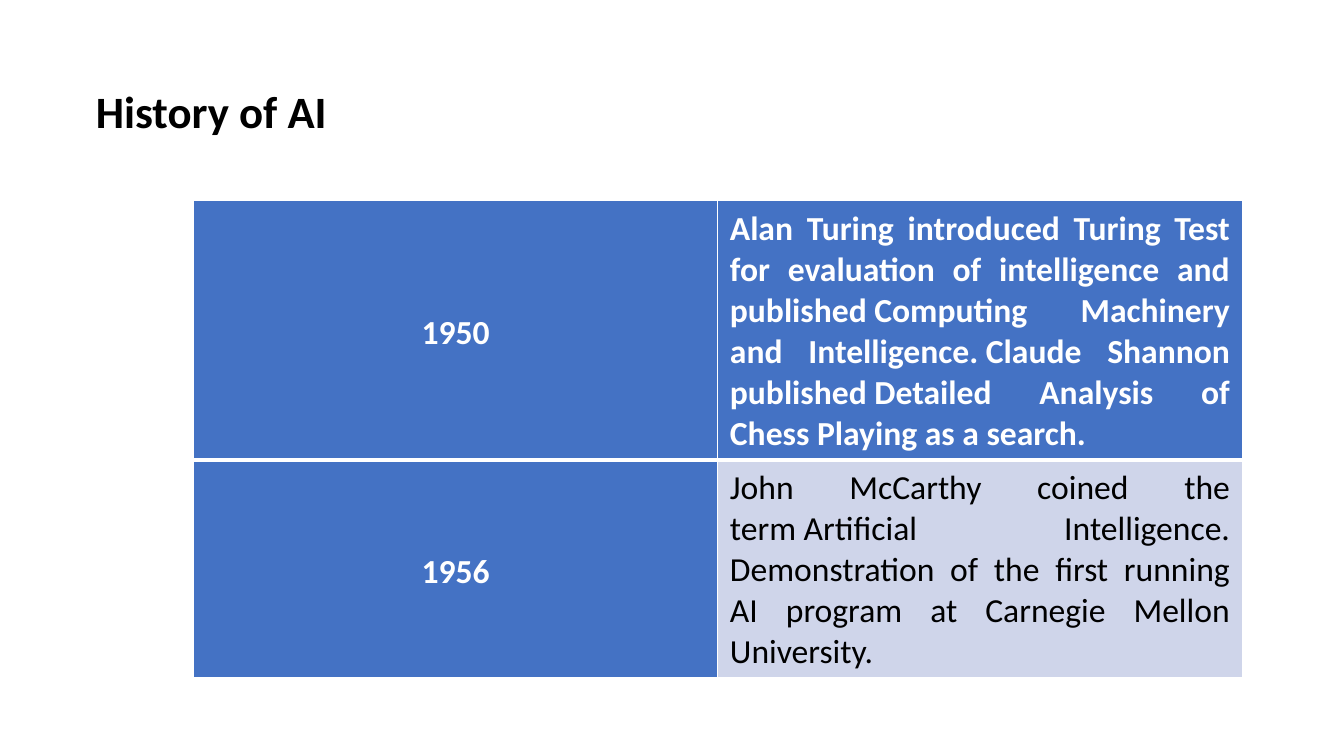
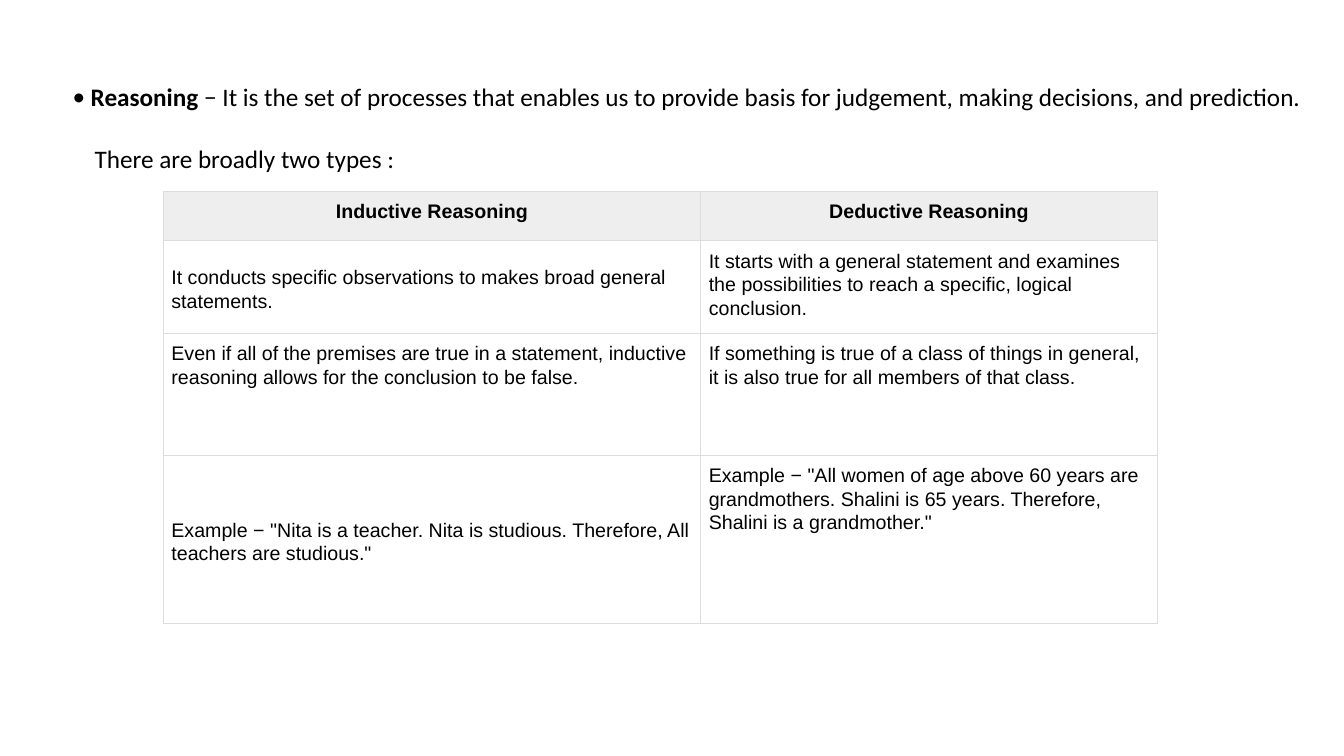
from lxml.etree import SubElement
from pptx import Presentation
from pptx.dml.color import RGBColor
from pptx.enum.text import MSO_ANCHOR as Anchor, MSO_AUTO_SIZE as AutoSize, PP_ALIGN as Align
from pptx.oxml.ns import qn
from pptx.util import Inches, Pt

# Shared look
BLACK = RGBColor(0x00, 0x00, 0x00)
WHITE = RGBColor(0xFF, 0xFF, 0xFF)
BLUE = RGBColor(0x44, 0x72, 0xC4)
PALE_BLUE = RGBColor(0xCF, 0xD5, 0xEA)
GRID_GREY = RGBColor(0xDD, 0xDD, 0xDD)
HEADER_GREY = RGBColor(0xEE, 0xEE, 0xEE)
BODY_FONT = "Calibri"
TABLE_FONT = "Arial"
CELL_MARGIN = Inches(0.08)
TITLE_ONLY, TITLE_AND_CONTENT = 5, 1
NBSP = chr(160)  # no-break space

# Wording
HISTORY = [
    ("1950", "Alan Turing introduced Turing Test for evaluation of intelligence and "
             f"published{NBSP}Computing Machinery and Intelligence.{NBSP}Claude Shannon "
             f"published{NBSP}Detailed Analysis of Chess Playing{NBSP}as a search."),
    ("1956", f"John McCarthy coined the term{NBSP}Artificial Intelligence. Demonstration "
             "of the first running AI program at Carnegie Mellon University."),
]
REASONING = [
    ("Inductive Reasoning", "Deductive Reasoning"),
    ("It conducts specific observations to makes broad general statements.",
     "It starts with a general statement and examines the possibilities to reach "
     "a specific, logical conclusion."),
    ("Even if all of the premises are true in a statement, inductive reasoning "
     "allows for the conclusion to be false.",
     "If something is true of a class of things in general, it is also true for "
     "all members of that class."),
    ('Example − "Nita is a teacher. Nita is studious. Therefore, All teachers are studious."',
     'Example − "All women of age above 60 years are grandmothers. Shalini is 65 years. '
     'Therefore, Shalini is a grandmother."'),
]


def add_text(para, text, size=18, font=BODY_FONT, color=BLACK, bold=False,
             align=Align.LEFT, spacing=1.0):
    """Add a formatted span to a paragraph and set the paragraph's layout."""
    para.alignment = align
    para.line_spacing = spacing
    para.space_before = para.space_after = Pt(0)
    span = para.add_run()
    span.text = text
    span.font.size = Pt(size)
    span.font.name = font
    span.font.bold = bold
    span.font.color.rgb = color


def place(box, left, top, width, height):
    """Move a text shape and return its first paragraph."""
    box.left, box.top = Inches(left), Inches(top)
    box.width, box.height = Inches(width), Inches(height)
    frame = box.text_frame
    frame.word_wrap = True
    frame.auto_size = AutoSize.NONE
    frame.vertical_anchor = Anchor.TOP
    return frame.paragraphs[0]


def set_bullet(para, indent):
    props = para._p.get_or_add_pPr()
    props.set("marL", str(Inches(indent)))
    props.set("indent", str(-Inches(indent)))
    SubElement(props, qn("a:buFont"), typeface=BODY_FONT)
    SubElement(props, qn("a:buChar"), char="•")


def set_borders(cell, color, **widths):
    """Draw all four cell borders, 1 pt unless a side is given a width."""
    props = cell._tc.get_or_add_tcPr()
    for side in ("lnL", "lnR", "lnT", "lnB"):
        line = SubElement(props, qn(f"a:{side}"), w=str(Pt(widths.get(side, 1))))
        fill = SubElement(line, qn("a:solidFill"))
        SubElement(fill, qn("a:srgbClr"), val=str(color))


def add_table(slide, left, top, widths, heights):
    """Add an unstyled grid with the given column widths and row heights."""
    frame = slide.shapes.add_table(len(heights), len(widths), Inches(left), Inches(top),
                                   Inches(sum(widths)), Inches(sum(heights)))
    table = frame.table
    table.first_row = table.horz_banding = False
    for column, width in zip(table.columns, widths):
        column.width = Inches(width)
    for row, height in zip(table.rows, heights):
        row.height = Inches(height)
    return table


def fill_cell(cell, text, fill=None, anchor=Anchor.TOP, **text_format):
    cell.margin_left = cell.margin_right = cell.margin_top = CELL_MARGIN
    cell.margin_bottom = Inches(0.05)
    cell.vertical_anchor = anchor
    if fill is None:
        cell.fill.background()
    else:
        cell.fill.solid()
        cell.fill.fore_color.rgb = fill
    add_text(cell.text_frame.paragraphs[0], text, **text_format)


def build_history(deck):
    slide = deck.slides.add_slide(deck.slide_layouts[TITLE_ONLY])
    title = place(slide.shapes.title, 0.85, 0.78, 10.28, 0.64)
    add_text(title, "History of AI", size=32, bold=True)

    # Timeline: the year column and the first row are emphasised
    table = add_table(slide, 1.92, 1.99, [5.2, 5.2], [2.57, 2.16])
    for row, (year, event) in enumerate(HISTORY):
        first = row == 0
        year_cell, event_cell = table.cell(row, 0), table.cell(row, 1)
        for cell in (year_cell, event_cell):
            if first:
                set_borders(cell, WHITE, lnB=3)
            else:
                set_borders(cell, WHITE, lnT=3)
        fill_cell(year_cell, year, fill=BLUE, anchor=Anchor.MIDDLE, size=24, color=WHITE,
                  bold=True, align=Align.CENTER, spacing=1.07)
        fill_cell(event_cell, event, fill=BLUE if first else PALE_BLUE, size=24,
                  color=WHITE if first else BLACK, bold=first, align=Align.JUSTIFY)
        event_cell.margin_left = event_cell.margin_right = Inches(0.12)


def build_reasoning(deck):
    slide = deck.slides.add_slide(deck.slide_layouts[TITLE_AND_CONTENT])
    title = slide.shapes.title
    title._element.getparent().remove(title._element)

    # Definition and lead-in
    definition = place(slide.placeholders[1], 0.62, 0.61, 12.45, 0.6)
    set_bullet(definition, 0.18)
    add_text(definition, "Reasoning", bold=True, spacing=1.5)
    add_text(definition, " − It is the set of processes that enables us to provide basis for "
             "judgement, making decisions, and prediction.", spacing=1.5)
    area = (0.84, 1.37, 12.1, 0.4)
    lead_in = slide.shapes.add_textbox(*map(Inches, area))
    add_text(place(lead_in, *area), "There are broadly two types :")

    # Comparison
    table = add_table(slide, 1.62, 1.9, [5.33, 4.53], [0.49, 0.92, 1.21, 1.67])
    for row, texts in enumerate(REASONING):
        header = row == 0
        for column, text in enumerate(texts):
            cell = table.cell(row, column)
            centred = column == 0 and row in (1, 3)
            set_borders(cell, GRID_GREY)
            fill_cell(cell, text, fill=HEADER_GREY if header else None,
                      anchor=Anchor.MIDDLE if centred else Anchor.TOP,
                      size=14, font=TABLE_FONT, bold=header, spacing=1.07,
                      align=Align.CENTER if header else Align.LEFT)


def main():
    deck = Presentation()
    deck.slide_width, deck.slide_height = Inches(13.33), Inches(7.5)
    build_history(deck)
    build_reasoning(deck)
    deck.save("out.pptx")


if __name__ == "__main__":
    main()
